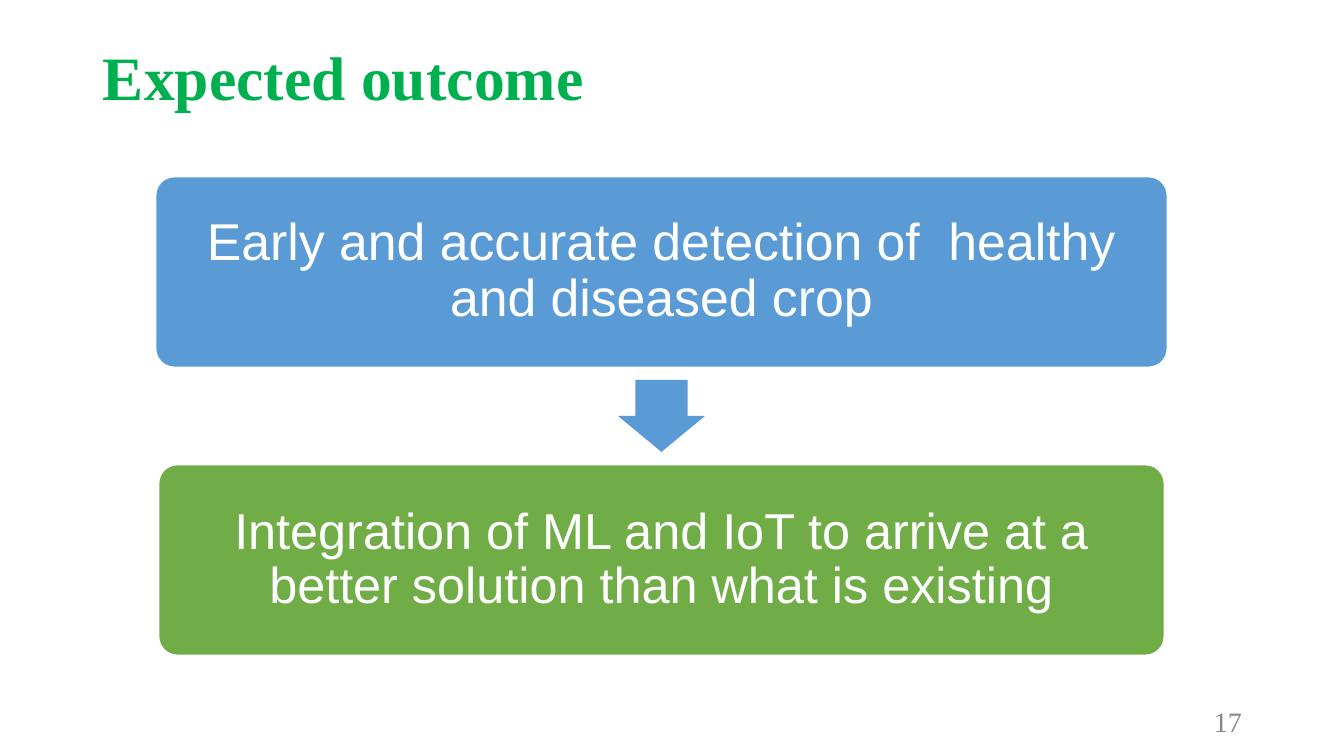
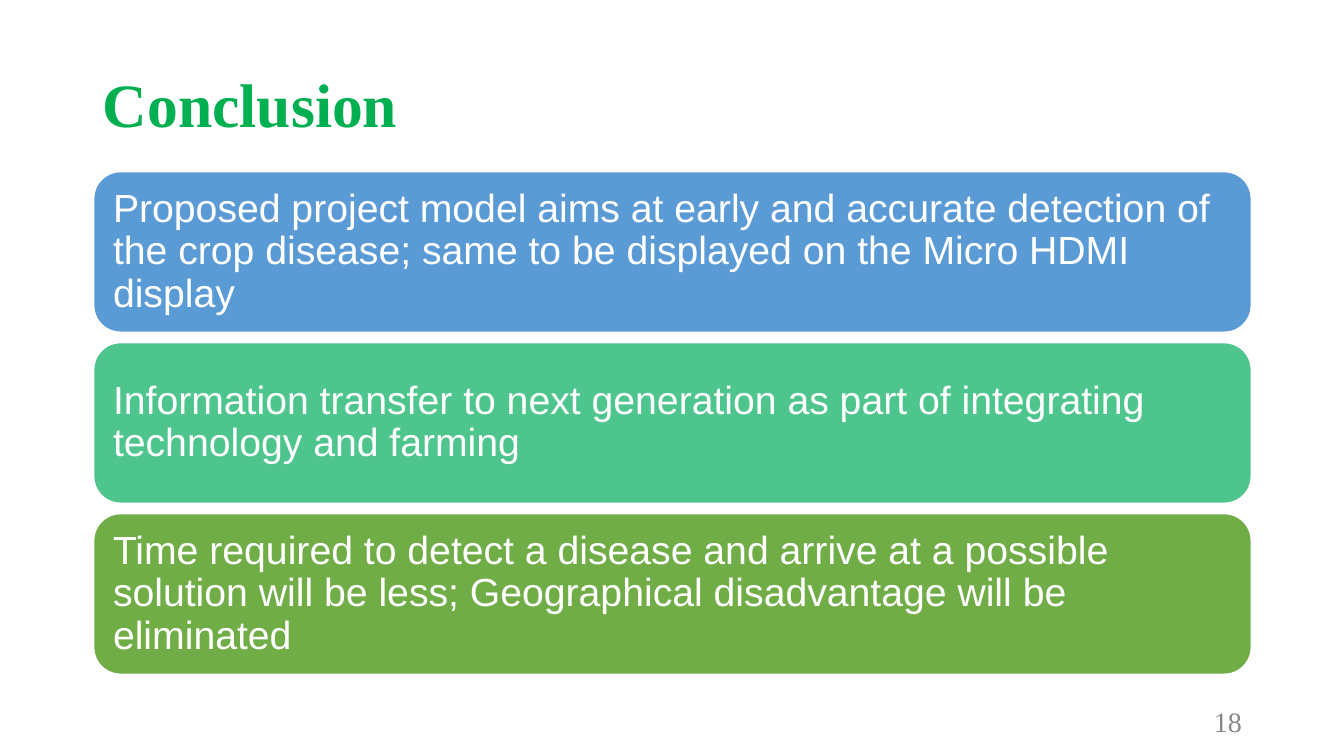
"""Build the expected outcome and conclusion slides."""
import pptx
import pptx.util
import pptx.dml.color
import pptx.enum.shapes
import pptx.enum.text

PX = 12192000 / 1344
SLIDE_SIZE = (1344, 756)
COLORS = {
    "title": "00B050",
    "number": "888888",
    "white": "FFFFFF",
    "blue": "5B9BD5",
    "teal": "4DC58D",
    "green": "70AD47",
}
SERIF = "Times New Roman"
SANS = "Arial"
ALIGN = pptx.enum.text.PP_ALIGN
PRESET = pptx.enum.shapes.MSO_SHAPE

OUTCOMES = [
    ("Early and accurate detection of  healthy and diseased crop", "blue", (155, 176, 1013, 192), 37),
    ("Integration of ML and IoT to arrive at a better solution than what is existing", "green",
     (158, 464, 1007, 192), 36),
]
CONCLUSIONS = [
    ("Proposed project model aims at early and accurate detection of the crop disease; "
     "same to be displayed on the Micro HDMI display", "blue"),
    ("Information transfer to next generation as part of integrating technology and farming", "teal"),
    ("Time required to detect a disease and arrive at a possible solution will be less; "
     "Geographical disadvantage will be eliminated", "green"),
]
CONCLUSION_TOP, CONCLUSION_STEP = 171, 171


def emu(pixels):
    return pptx.util.Emu(round(pixels * PX))


def rgb(name):
    return pptx.dml.color.RGBColor.from_string(COLORS[name])


def write_text(shape, text, size, font=SANS, color="white", bold=False,
               align=ALIGN.LEFT, spacing=0.9, inset=(10, 5)):
    frame = shape.text_frame
    frame.word_wrap = True
    frame.auto_size = pptx.enum.text.MSO_AUTO_SIZE.NONE
    frame.vertical_anchor = pptx.enum.text.MSO_ANCHOR.MIDDLE
    frame.margin_left = frame.margin_right = emu(inset[0])
    frame.margin_top = frame.margin_bottom = emu(inset[1])
    paragraph = frame.paragraphs[0]
    paragraph.alignment = align
    paragraph.line_spacing = spacing
    run = paragraph.add_run()
    run.text = text
    run.font.name = font
    run.font.size = pptx.util.Pt(size)
    run.font.bold = bold
    run.font.color.rgb = rgb(color)


def add_preset(slide, preset, box, fill, adjustments):
    shape = slide.shapes.add_shape(preset, *map(emu, box))
    shape.shadow.inherit = False
    shape.fill.solid()
    shape.fill.fore_color.rgb = rgb(fill)
    shape.line.fill.background()
    for index, value in enumerate(adjustments):
        shape.adjustments[index] = value
    return shape


def add_card(slide, text, fill, box, size, corner, inset, align=ALIGN.LEFT):
    card = add_preset(slide, PRESET.ROUNDED_RECTANGLE, box, fill, [corner])
    card.line.color.rgb = rgb("white")
    card.line.width = pptx.util.Pt(2)
    write_text(card, text, size, align=align, inset=(inset, inset))


def add_titled_slide(presentation, title, title_top, number):
    slide = presentation.slides.add_slide(presentation.slide_layouts[5])
    heading = slide.shapes.title
    heading.left, heading.top, heading.width, heading.height = map(emu, (93, title_top, 1159, 72))
    write_text(heading, title, 44, font=SERIF, color="title", bold=True)
    footer = slide.shapes.add_textbox(*map(emu, (950, 701, 302, 40)))
    write_text(footer, str(number), 20, font=SERIF, color="number", align=ALIGN.RIGHT, spacing=1.0)
    return slide


def build_outcome(presentation):
    slide = add_titled_slide(presentation, "Expected outcome", 45, 17)
    for text, fill, box, size in OUTCOMES:
        add_card(slide, text, fill, box, size, corner=0.1, inset=15, align=ALIGN.CENTER)
    add_preset(slide, PRESET.DOWN_ARROW, (618, 380, 87, 72), "blue", [0.6, 0.5])


def build_conclusion(presentation):
    slide = add_titled_slide(presentation, "Conclusion", 72, 18)
    for index, (text, fill) in enumerate(CONCLUSIONS):
        box = (93, CONCLUSION_TOP + index * CONCLUSION_STEP, 1159, 162)
        add_card(slide, text, fill, box, 28, corner=0.17, inset=12)


def main():
    presentation = pptx.Presentation()
    presentation.slide_width, presentation.slide_height = map(emu, SLIDE_SIZE)
    build_outcome(presentation)
    build_conclusion(presentation)
    presentation.save("out.pptx")


if __name__ == "__main__":
    main()
